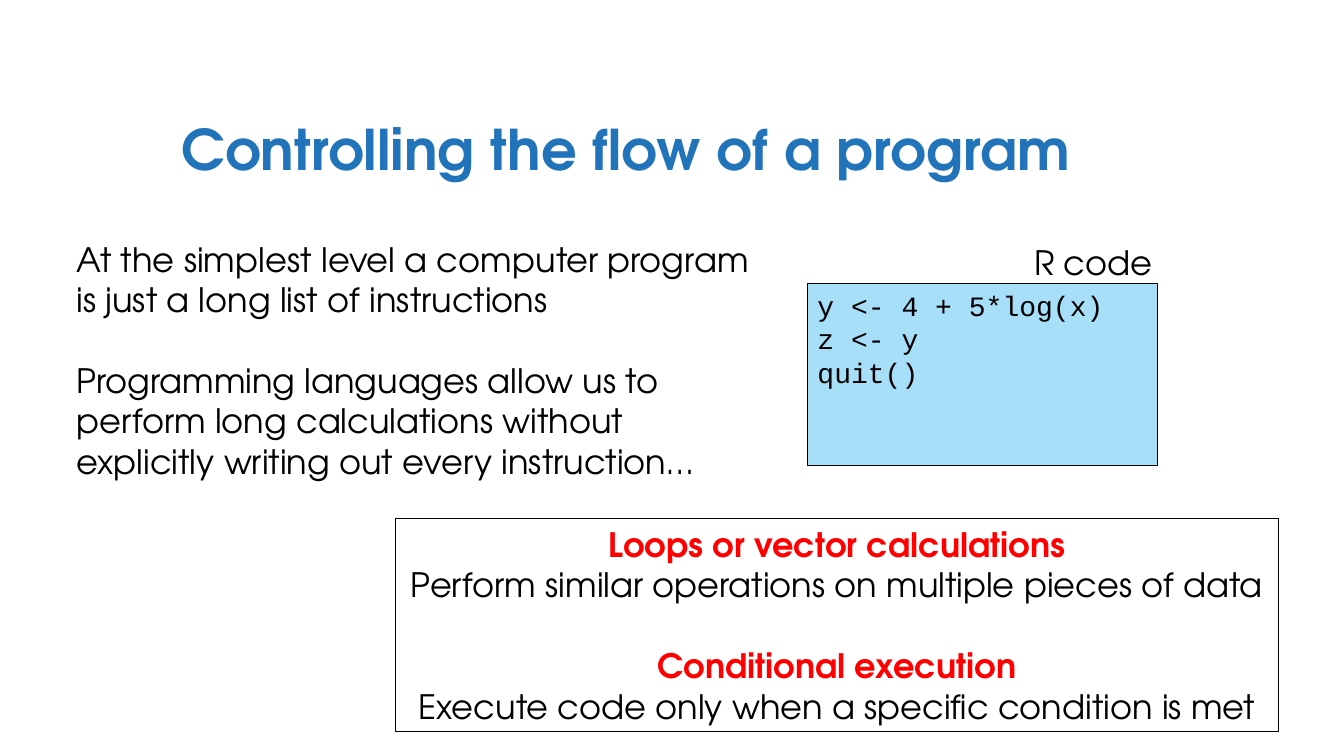
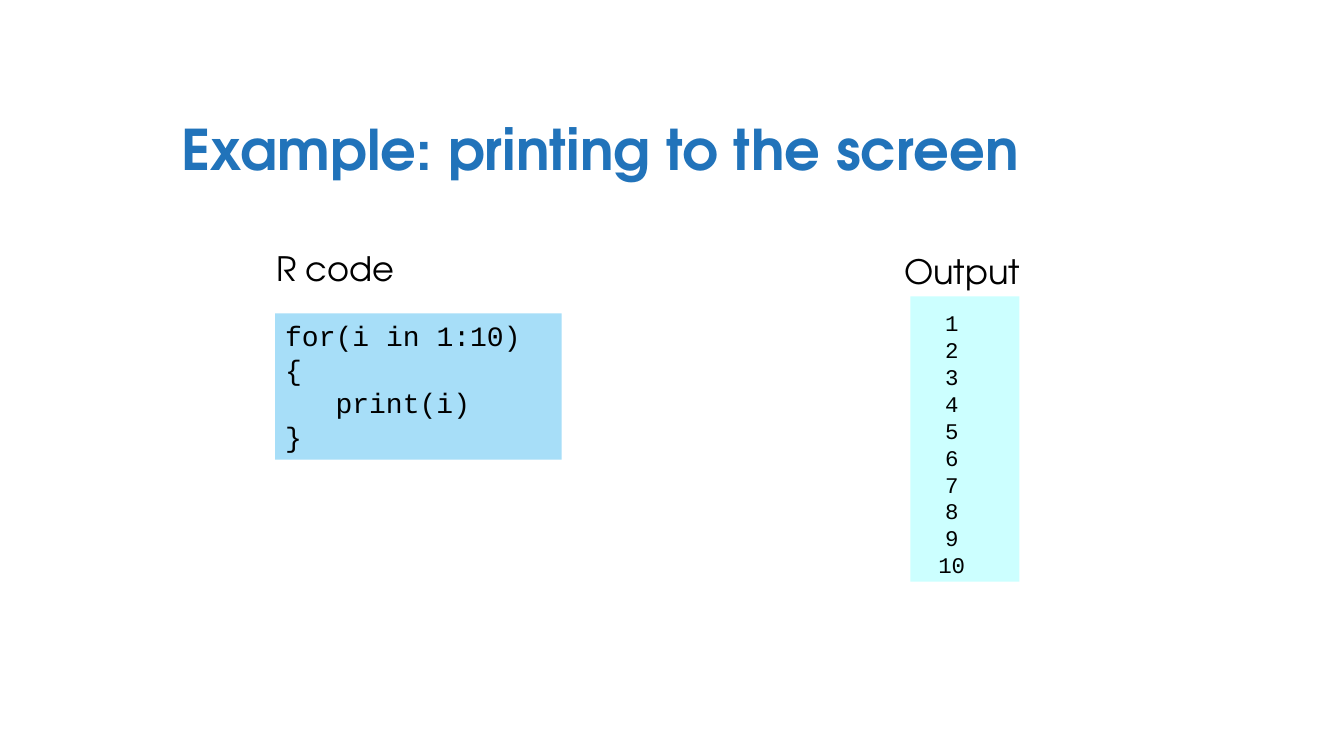
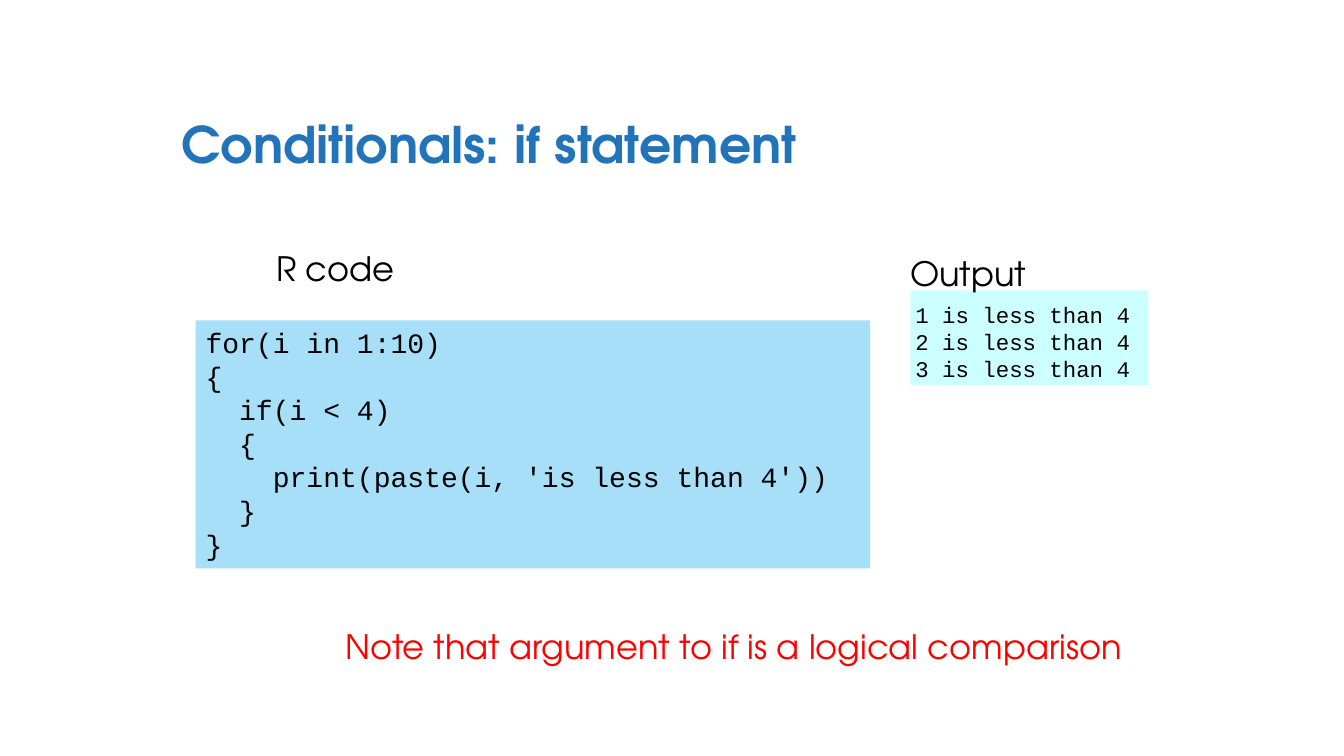
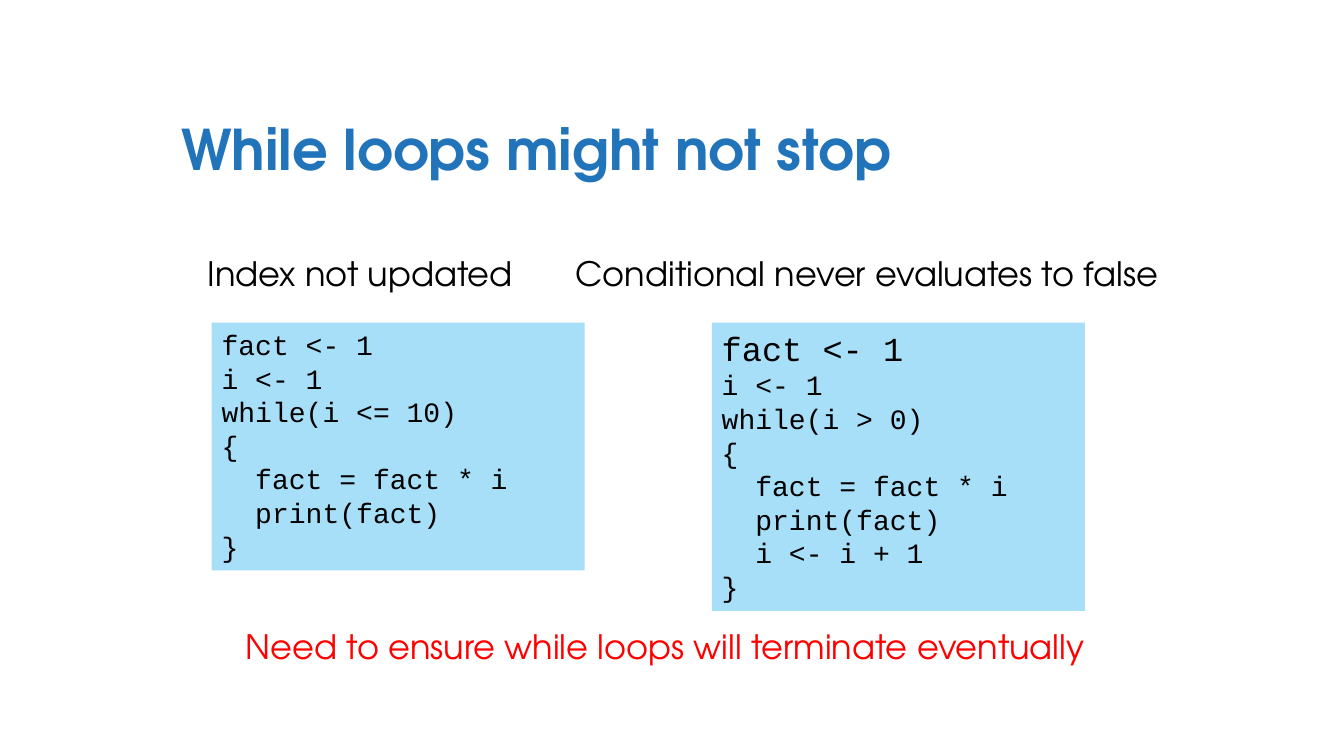
from pptx import Presentation
from pptx.dml.color import RGBColor
from pptx.enum.shapes import MSO_SHAPE
from pptx.enum.text import MSO_ANCHOR, MSO_AUTO_SIZE, PP_ALIGN
from pptx.util import Inches, Pt


def rgb(value):
    return RGBColor.from_string(value)


class Deck:
    """Holds the shared style and the slide being filled."""

    SANS, MONO = "TeX Gyre Adventor", "Courier New"
    BLACK, RED, TITLE = "000000", "FF0000", "2173BA"
    CODE_FILL, OUTPUT_FILL = "A7DEF8", "CCFFFF"
    TITLE_ONLY = 5
    PARAGRAPH_GAP = 29

    def __init__(self):
        self.prs = Presentation()
        self.prs.slide_width, self.prs.slide_height = Inches(13.33), Inches(7.5)
        self.slide = None

    def add_slide(self, title, size=40, spacing=1.0):
        layout = self.prs.slide_layouts[self.TITLE_ONLY]
        self.slide = self.prs.slides.add_slide(layout)
        sp = self.slide.shapes.title
        sp.left, sp.top = Inches(1.7), Inches(0.84)
        sp.width, sp.height = Inches(9.8), Inches(1.25)
        tf = sp.text_frame
        tf.auto_size = MSO_AUTO_SIZE.NONE
        tf.vertical_anchor = MSO_ANCHOR.MIDDLE
        p = self.fill_text(tf, [title], self.SANS, size, self.TITLE, bold=True)[0]
        p.line_spacing = spacing

    def fill_text(self, tf, lines, font, size, color=BLACK, bold=False,
                  align=PP_ALIGN.LEFT):
        """Fill a text frame, one paragraph a line, and return the paragraphs."""
        for i, line in enumerate(lines):
            p = tf.add_paragraph() if i else tf.paragraphs[0]
            p.add_run().text = line
            p.alignment = align
            p.font.name, p.font.size, p.font.bold = font, Pt(size), bold
            p.font.color.rgb = rgb(color)
        return tf.paragraphs

    def text(self, left, top, width, height, lines, color=BLACK, wrap=False):
        sp = self.slide.shapes.add_textbox(
            Inches(left), Inches(top), Inches(width), Inches(height))
        tf = sp.text_frame
        tf.word_wrap = wrap
        return self.fill_text(tf, lines, self.SANS, 24, color)

    def label(self, left, top, width, text, color=BLACK):
        self.text(left, top, width, 0.5, [text], color)

    def box(self, left, top, width, height, fill=None, border=False):
        """Draw a rectangle and return its text frame."""
        sp = self.slide.shapes.add_shape(
            MSO_SHAPE.RECTANGLE,
            Inches(left), Inches(top), Inches(width), Inches(height))
        sp.shadow.inherit = False
        if fill:
            sp.fill.solid()
            sp.fill.fore_color.rgb = rgb(fill)
        else:
            sp.fill.background()
        if border:
            sp.line.color.rgb = rgb(self.BLACK)
            sp.line.width = Pt(0.75)
        else:
            sp.line.fill.background()
        tf = sp.text_frame
        tf.word_wrap = True
        tf.vertical_anchor = MSO_ANCHOR.TOP
        return tf

    def code(self, left, top, width, height, lines, border=False):
        tf = self.box(left, top, width, height, self.CODE_FILL, border)
        return self.fill_text(tf, lines, self.MONO, 20)

    def output(self, top, width, height, lines, insets, align=PP_ALIGN.LEFT):
        """Show printed lines; insets are left, top and right."""
        tf = self.box(9.03, top, width, height, self.OUTPUT_FILL)
        tf.margin_left, tf.margin_top, tf.margin_right = map(Inches, insets)
        self.fill_text(tf, lines, self.MONO, 16, align=align)

    def definitions(self, left, top, width, height, pairs):
        """Draw a bordered box of red terms, each above its meaning."""
        tf = self.box(left, top, width, height, border=True)
        tf.vertical_anchor = MSO_ANCHOR.MIDDLE
        lines = [line for pair in pairs for line in pair]
        paragraphs = self.fill_text(tf, lines, self.SANS, 24,
                                    align=PP_ALIGN.CENTER)
        terms = paragraphs[::2]
        for p in terms:
            p.font.bold = True
            p.font.color.rgb = rgb(self.RED)
        for p in terms[1:]:
            p.space_before = Pt(self.PARAGRAPH_GAP)


def flow_slide(deck):
    deck.add_slide("Controlling the flow of a program")
    paragraphs = deck.text(0.66, 2.32, 7, 2.5, [
        "At the simplest level a computer program is just a long list of "
        "instructions",
        "Programming languages allow us to perform long calculations without "
        "explicitly writing out every instruction…",
    ], wrap=True)
    paragraphs[1].space_before = Pt(deck.PARAGRAPH_GAP)
    deck.code(8.01, 2.81, 3.47, 1.81,
              ["y <- 4 + 5*log(x)", "z <- y", "quit()"], border=True)
    deck.definitions(3.92, 5.14, 8.76, 2.12, [
        ("Loops or vector calculations",
         "Perform similar operations on multiple pieces of data"),
        ("Conditional execution",
         "Execute code only when a specific condition is met"),
    ])
    deck.label(10.16, 2.35, 1.39, "R code")


def printing_slide(deck):
    deck.add_slide("Example: printing to the screen")
    deck.label(2.64, 2.41, 1.39, "R code")
    deck.code(2.73, 3.11, 2.84, 1.45,
              ["for(i in 1:10)", "{", "\tprint(i)", "}"])
    deck.label(8.87, 2.44, 1.36, "Output")
    deck.output(2.94, 1.08, 2.83, [str(i) for i in range(1, 11)],
                (0.1, 0.13, 0.36), PP_ALIGN.CENTER)


def conditionals_slide(deck):
    deck.add_slide("Conditionals: if statement", size=36, spacing=0.9)
    deck.label(2.64, 2.41, 1.39, "R code")
    deck.code(1.94, 3.18, 6.69, 2.46, [
        "for(i in 1:10)",
        "{",
        "  if(i < 4)",
        "  {",
        "    print(paste(i, 'is less than 4'))",
        "  }",
        "}",
    ])
    deck.output(2.88, 2.36, 0.94,
                [f"{i} is less than 4" for i in range(1, 4)],
                (0.05, 0.11, 0.1))
    deck.label(8.93, 2.46, 1.36, "Output")
    deck.label(3.33, 6.16, 7.99,
               "Note that argument to if is a logical comparison", deck.RED)


def while_slide(deck):
    deck.add_slide("While loops might not stop")
    start = ["fact <- 1", "i <- 1"]
    body = ["{", "  fact = fact * i", "  print(fact)"]
    deck.label(1.96, 2.46, 3.28, "Index not updated")
    deck.code(2.1, 3.2, 3.7, 2.46, start + ["while(i <= 10)"] + body + ["}"])
    deck.label(5.61, 2.46, 6.09, "Conditional never evaluates to false")
    endless = deck.code(7.06, 3.2, 3.7, 2.86,
                        start + ["while(i > 0)"] + body + ["  i <- i + 1", "}"])
    endless[0].font.size = Pt(24)
    deck.label(2.34, 6.16, 8.65,
               "Need to ensure while loops will terminate eventually", deck.RED)


def main():
    deck = Deck()
    for build in (flow_slide, printing_slide, conditionals_slide, while_slide):
        build(deck)
    deck.prs.save("out.pptx")


if __name__ == "__main__":
    main()
